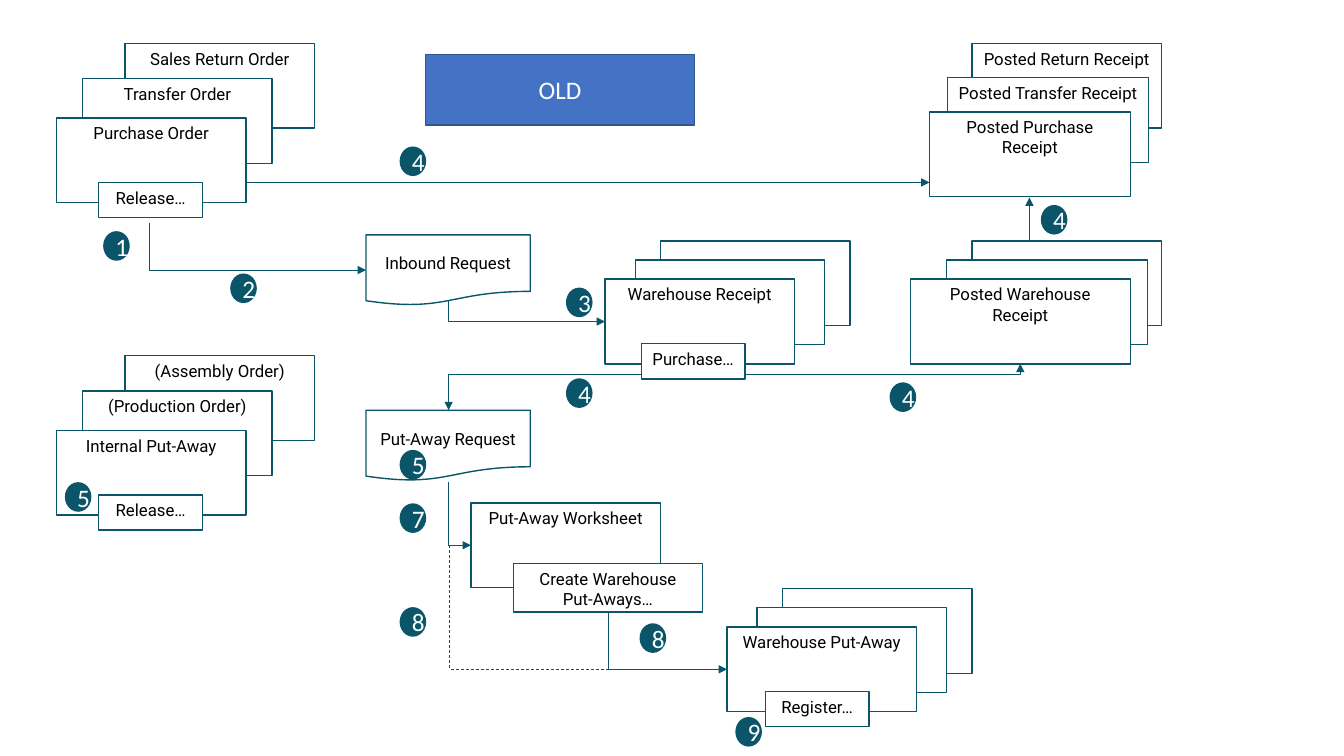
from lxml import etree
from pptx import Presentation
from pptx.dml.color import RGBColor
from pptx.enum.dml import MSO_LINE
from pptx.enum.shapes import MSO_CONNECTOR, MSO_SHAPE
from pptx.enum.text import MSO_ANCHOR, PP_ALIGN
from pptx.oxml.ns import qn
from pptx.util import Inches, Pt

COLORS = {
    "teal": "0B556A",
    "white": "FFFFFF",
    "black": "000000",
    "blue": "4472C4",
    "navy": "325491",
}
CARD_WIDTH, CARD_HEIGHT = 1.88, 0.84
BUTTON_SIZE = (1.03, 0.35)
REQUEST_SIZE = (1.63, 0.7)

# Card offsets from the front card, listed back to front
ORDER_OFFSETS = [(0.68, -0.74), (0.26, -0.39), (0, 0)]
WAREHOUSE_OFFSETS = [(0.55, -0.38), (0.3, -0.19), (0, 0)]


def color(name):
    return RGBColor.from_string(COLORS[name])


def add_block(slide, kind, left, top, size, label="", fill="white", line="teal",
              ink="black", font=("Roboto", 12), anchor=MSO_ANCHOR.TOP):
    block = slide.shapes.add_shape(kind, Inches(left), Inches(top),
                                   *(Inches(side) for side in size))
    block.shadow.inherit = False
    block.fill.solid()
    block.fill.fore_color.rgb = color(fill)
    block.line.color.rgb = color(line)
    block.line.width = Pt(1)
    if label:
        block.text_frame.word_wrap = True
        block.text_frame.vertical_anchor = anchor
        paragraph = block.text_frame.paragraphs[0]
        paragraph.text = label
        paragraph.alignment = PP_ALIGN.CENTER
        paragraph.font.name, paragraph.font.size = font[0], Pt(font[1])
        paragraph.font.color.rgb = color(ink)


def add_card(slide, left, top, label="", size=(CARD_WIDTH, CARD_HEIGHT)):
    add_block(slide, MSO_SHAPE.RECTANGLE, left, top, size, label)


def add_stack(slide, left, top, labels, offsets):
    for label, (dx, dy) in zip(labels, offsets):
        add_card(slide, left + dx, top + dy, label)


def add_request(slide, top, label):
    add_block(slide, MSO_SHAPE.FLOWCHART_DOCUMENT, 3.63, top, REQUEST_SIZE,
              label, anchor=MSO_ANCHOR.MIDDLE)


def add_step(slide, number, left, top):
    add_block(slide, MSO_SHAPE.FLOWCHART_CONNECTOR, left, top, (0.25, 0.28),
              str(number), fill="teal", ink="white", font=("Calibri", 18),
              anchor=MSO_ANCHOR.MIDDLE)


def add_flow(slide, start, end, kind=MSO_CONNECTOR.STRAIGHT, dashed=False):
    flow = slide.shapes.add_connector(
        kind, *(Inches(value) for value in (*start, *end)))
    flow.line.color.rgb = color("teal")
    flow.line.width = Pt(0.5)
    line = flow.line._get_or_add_ln()
    if dashed:
        flow.line.dash_style = MSO_LINE.DASH
    else:
        etree.SubElement(line, qn("a:tailEnd"), type="triangle")
    etree.SubElement(flow._element.spPr, qn("a:effectLst"))
    return flow


def add_corner(slide, start, end, down_first=False, dashed=False):
    """One right-angle turn; a downward start is a flipped, rotated corner."""
    if down_first:
        (x1, y1), (x2, y2) = start, end
        center_x, center_y = (x1 + x2) / 2, (y1 + y2) / 2
        half_x, half_y = (x2 - x1) / 2, (y2 - y1) / 2
        start = (center_x + half_y, center_y - half_x)
        end = (center_x - half_y, center_y + half_x)
    corner = add_flow(slide, start, end, MSO_CONNECTOR.ELBOW, dashed)
    properties = corner._element.spPr
    properties.find(qn("a:prstGeom")).set("prst", "bentConnector2")
    if down_first:
        properties.find(qn("a:xfrm")).set("rot", str(270 * 60000))


def add_documents(slide):
    # Source orders
    for top, labels in [
        (1.17, ("Sales Return Order", "Transfer Order", "Purchase Order")),
        (4.27, ("(Assembly Order)", "(Production Order)", "Internal Put-Away")),
    ]:
        add_stack(slide, 0.56, top, labels, ORDER_OFFSETS)
        add_card(slide, 0.98, top + 0.64, "Release…", BUTTON_SIZE)

    # Posted receipts
    for left, top, width, label in [
        (9.64, 0.43, 1.88, "Posted Return Receipt"),
        (9.4, 0.77, 1.99, "Posted Transfer Receipt"),
        (9.22, 1.11, 1.99, "Posted Purchase Receipt"),
        (9.64, 2.39, 1.88, ""),
        (9.39, 2.58, 1.99, ""),
        (9.03, 2.77, 2.18, "Posted Warehouse Receipt"),
    ]:
        add_card(slide, left, top, label, (width, CARD_HEIGHT))

    # Warehouse documents
    for left, top, label, button_left, button in [
        (6, 2.77, "Warehouse Receipt", 6.36, "Purchase…"),
        (7.21, 6.22, "Warehouse Put-Away", 7.59, "Register…"),
    ]:
        add_stack(slide, left, top, ("", "", label), WAREHOUSE_OFFSETS)
        add_card(slide, button_left, top + 0.64, button, BUTTON_SIZE)

    # Requests and worksheet
    add_request(slide, 2.33, "Inbound Request")
    add_request(slide, 4.07, "Put-Away Request")
    add_card(slide, 4.67, 4.99, "Put-Away Worksheet")
    add_card(slide, 5.09, 5.59, "Create Warehouse Put-Aways…", (CARD_WIDTH, 0.48))


def add_flows(slide):
    # Straight flows to the posted purchase receipt
    add_flow(slide, (2.44, 1.81), (9.22, 1.81))
    add_flow(slide, (10.21, 2.39), (10.21, 1.96))

    # Flows out of the warehouse receipt
    add_corner(slide, (7.39, 3.71), (10.12, 3.61))
    add_corner(slide, (6.36, 3.71), (4.45, 4.07))

    # Flows that go down, then right
    for start, end in [
        ((1.48, 2.21), (3.63, 2.68)),
        ((4.45, 2.99), (6, 3.19)),
        ((4.45, 4.78), (4.67, 5.41)),
        ((6.03, 6.07), (7.21, 6.64)),
    ]:
        add_corner(slide, start, end, down_first=True)
    add_corner(slide, (4.46, 5.41), (6.05, 6.64), down_first=True, dashed=True)


def main():
    presentation = Presentation()
    presentation.slide_width = Inches(13.33)
    presentation.slide_height = Inches(7.5)
    slide = presentation.slides.add_slide(presentation.slide_layouts[6])

    add_documents(slide)
    add_flows(slide)

    # Step numbers
    for number, left, top in [
        (1, 1.03, 2.3), (2, 2.29, 2.72), (4, 3.97, 1.46), (3, 5.62, 2.86),
        (4, 10.33, 2.04), (4, 8.83, 3.8), (4, 5.62, 3.76), (5, 3.97, 4.47),
        (7, 3.97, 5), (8, 6.35, 6.19), (8, 3.97, 6.03), (9, 7.3, 7.12),
        (5, 0.65, 4.79),
    ]:
        add_step(slide, number, left, top)

    # Version banner
    add_block(slide, MSO_SHAPE.RECTANGLE, 4.22, 0.54, (2.67, 0.7), "OLD",
              fill="blue", line="navy", ink="white", font=("Calibri", 18),
              anchor=MSO_ANCHOR.MIDDLE)

    presentation.save("out.pptx")


main()
